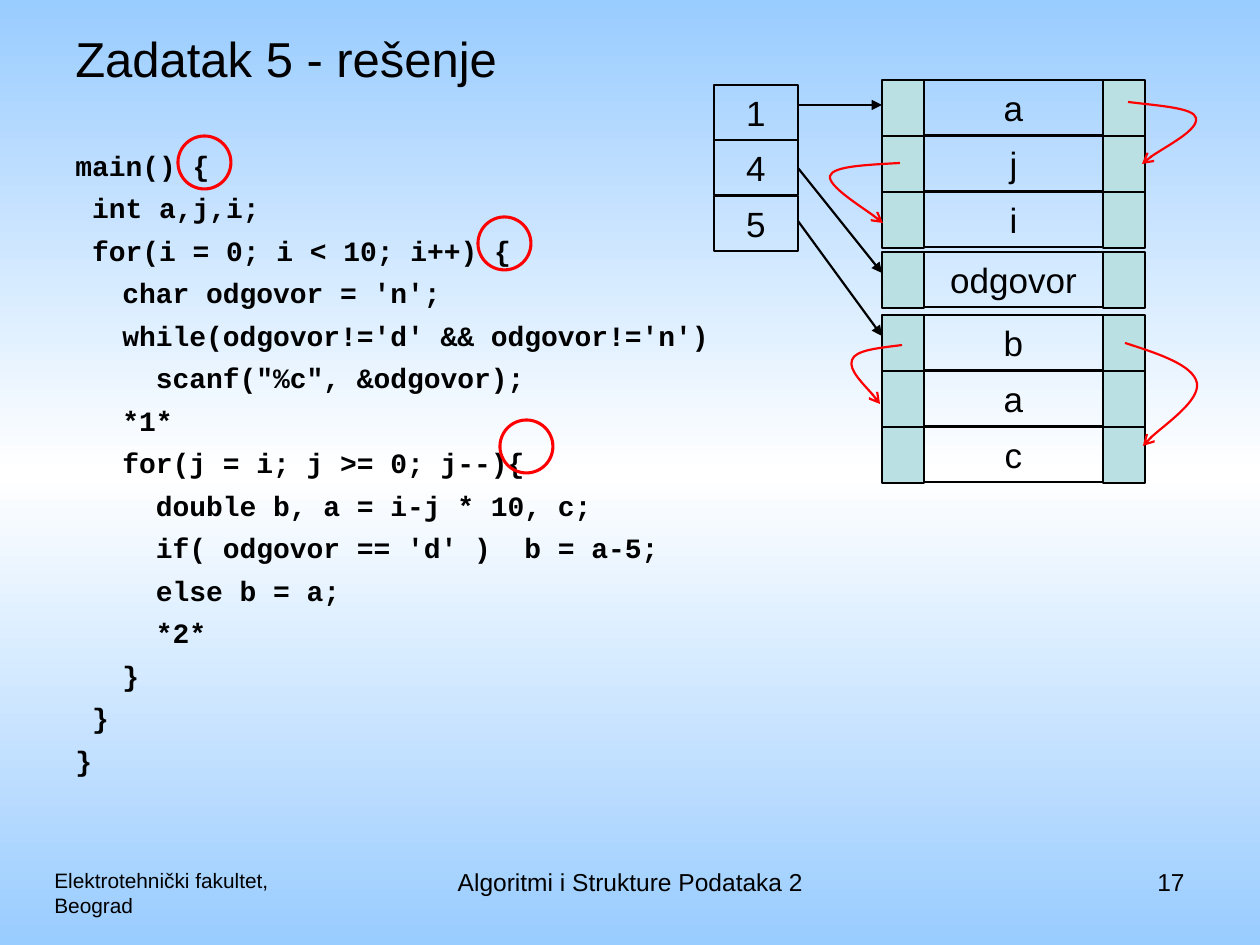
import copy

import pptx
import pptx.dml.color
import pptx.enum.shapes
import pptx.enum.text
import pptx.oxml
import pptx.oxml.ns
import pptx.util

RGBColor = pptx.dml.color.RGBColor
ALIGN = pptx.enum.text.PP_ALIGN
ANCHOR = pptx.enum.text.MSO_ANCHOR
SHAPE = pptx.enum.shapes.MSO_SHAPE
qn = pptx.oxml.ns.qn

BLACK = RGBColor(0x00, 0x00, 0x00)
RED = RGBColor(0xFF, 0x00, 0x00)
TEAL = RGBColor(0xBB, 0xE0, 0xE3)
SKY = RGBColor(0x99, 0xCC, 0xFF)
WHITE = RGBColor(0xFF, 0xFF, 0xFF)

PX = 914400 / 126

# Content: text, box (left, top, width, height), size, alignment, anchor
LABELS = [
    ("Zadatak 5 - rešenje", (63, 21, 1134, 74), 28, ALIGN.LEFT, ANCHOR.MIDDLE),
    ("Elektrotehnički fakultet,\vBeograd", (42, 861, 378, 66), 11.9, ALIGN.LEFT, ANCHOR.TOP),
    ("Algoritmi i Strukture Podataka 2", (431, 861, 399, 66), 14, ALIGN.CENTER, ANCHOR.TOP),
    ("17", (903, 861, 294, 66), 14, ALIGN.RIGHT, ANCHOR.TOP),
]
CODE_BOX = (63, 142, 703, 618)
CODE = [
    "main() {",
    " int a,j,i;",
    " for(i = 0; i < 10; i++) {",
    "\tchar odgovor = 'n';",
    "\twhile(odgovor!='d' && odgovor!='n')",
    "\t  scanf(\"%c\", &odgovor);",
    "\t*1*",
    "\tfor(j = i; j >= 0; j--){",
    "\t  double b, a = i-j * 10, c;",
    "\t  if( odgovor == 'd' )  b = a-5;",
    "\t  else b = a;",
    "\t  *2*",
    "\t}",
    " }",
    "}",
]
BLOCK_NUMBERS = [("1", 85), ("4", 140), ("5", 196)]
SCOPES = [(80, ["a", "j", "i"]), (252, ["odgovor"]), (315, ["b", "a", "c"])]
BRACE_RINGS = [(178, 136), (478, 217), (500, 420)]
SCOPE_ARROWS = [((798, 105), (882, 105)), ((798, 168), (882, 273)), ((798, 221), (882, 336))]
# Each tree link: a start point, then three points for each Bezier curve
TREE_LINKS = [
    [(1128, 102), (1160, 106), (1194, 108), (1196, 118), (1199, 130), (1148, 156), (1142, 164)],
    [(900, 163), (867, 165), (833, 166), (830, 176), (828, 186), (877, 217), (883, 223)],
    [(1125, 343), (1159, 354), (1193, 365), (1197, 383), (1200, 401), (1149, 436), (1143, 446)],
    [(902, 345), (879, 348), (855, 350), (852, 360), (848, 370), (877, 398), (880, 404)],
]
NUMBER_LEFT, NUMBER_WIDTH = 714, 84
SCOPE_LEFT, POINTER_WIDTH, NAME_WIDTH = 882, 42, 179
CELL_HEIGHT, ROW_PITCH, RING = 55, 56, 53


def emu(*lengths):
    return [round(length * PX) for length in lengths]


def style_font(para, size, name="Arial", bold=False):
    para.font.size = pptx.util.Pt(size)
    para.font.name = name
    para.font.bold = bold
    para.font.color.rgb = BLACK


def add_label(text, box, size, align, anchor):
    frame = slide.shapes.add_textbox(*emu(*box)).text_frame
    frame.word_wrap = True
    frame.vertical_anchor = anchor
    para = frame.paragraphs[0]
    para.text = text
    para.alignment = align
    style_font(para, size)


def style_line(shape, color, width):
    shape.line.color.rgb = color
    shape.line.width = pptx.util.Pt(width)


def add_outline(kind, box, color, width, fill=None):
    shape = slide.shapes.add_shape(kind, *emu(*box))
    shape.shadow.inherit = False
    style_line(shape, color, width)
    if fill is None:
        shape.fill.background()
    else:
        shape.fill.solid()
        shape.fill.fore_color.rgb = fill
    return shape


def add_cell(text, left, top, width):
    cell = add_outline(SHAPE.RECTANGLE, (left, top, width, CELL_HEIGHT), BLACK, 0.75)
    cell.text_frame.vertical_anchor = ANCHOR.MIDDLE
    para = cell.text_frame.paragraphs[0]
    para.text = text
    para.alignment = ALIGN.CENTER
    style_font(para, 20)


def add_arrowhead(shape, kind):
    pptx.oxml.ns  # namespace helpers
    shape.line._get_or_add_ln().append(
        pptx.oxml.parse_xml(f'<a:tailEnd {pptx.oxml.ns.nsdecls("a")} type="{kind}"/>'))


def add_tree_link(points):
    start, *rest = [emu(*point) for point in points]
    builder = slide.shapes.build_freeform(*start, scale=1.0)
    builder.add_line_segments(rest, close=False)
    link = builder.convert_to_shape()
    link.shadow.inherit = False
    link.fill.background()
    style_line(link, RED, 1.25)
    add_arrowhead(link, "arrow")
    # Turn every three line segments into one Bezier curve
    segments = list(link._element.iter(qn("a:lnTo")))
    for first in range(0, len(segments), 3):
        curve = pptx.oxml.parse_xml(f'<a:cubicBezTo {pptx.oxml.ns.nsdecls("a")}/>')
        segments[first].addprevious(curve)
        for segment in segments[first:first + 3]:
            curve.append(segment[0])
            segment.getparent().remove(segment)


deck = pptx.Presentation()
deck.slide_width, deck.slide_height = emu(1260, 945)
slide = deck.slides.add_slide(deck.slide_layouts[6])

# Background: sky, white, sky from top to bottom
background = slide.background.fill
background.gradient()
background.gradient_angle = 90
stop_list = next(slide._element.iter(qn("a:gsLst")))
stop_list.insert(1, copy.deepcopy(stop_list[0]))
for stop, color, position in zip(background.gradient_stops, (SKY, WHITE, SKY), (0, 0.5, 1)):
    stop.color.rgb = color
    stop.position = position

# Title and footer
for label in LABELS:
    add_label(*label)

# Program code, with tabs reaching the hanging indent
code_frame = slide.shapes.add_textbox(*emu(*CODE_BOX)).text_frame
code_frame.word_wrap = True
hang = emu(47)[0]
for number, line in enumerate(CODE):
    para = code_frame.add_paragraph() if number else code_frame.paragraphs[0]
    para.text = line
    para._p.get_or_add_pPr().set("marL", str(hang))
    para._p.get_or_add_pPr().set("indent", str(-hang))
    para.space_before = pptx.util.Pt(5.1 if number else 0)
    style_font(para, 16, "Courier New", True)

# Block numbers
for text, top in BLOCK_NUMBERS:
    add_cell(text, NUMBER_LEFT, top, NUMBER_WIDTH)

# Variables of each scope, with a pointer cell on both sides
name_left = SCOPE_LEFT + POINTER_WIDTH
for scope_top, names in SCOPES:
    for row, name in enumerate(names):
        top = scope_top + row * ROW_PITCH
        add_cell(name, name_left, top, NAME_WIDTH)
        for left in (SCOPE_LEFT, name_left + NAME_WIDTH):
            add_outline(SHAPE.RECTANGLE, (left, top, POINTER_WIDTH, ROW_PITCH), BLACK, 0.75, TEAL)

# Rings around the opening braces
for left, top in BRACE_RINGS:
    add_outline(SHAPE.OVAL, (left, top, RING, RING), RED, 1.75)

# Arrows from block numbers to scopes
for start, end in SCOPE_ARROWS:
    arrow = slide.shapes.add_connector(
        pptx.enum.shapes.MSO_CONNECTOR.STRAIGHT, *emu(*start, *end))
    style_line(arrow, BLACK, 1.25)
    add_arrowhead(arrow, "triangle")
    arrow._element.spPr.append(
        pptx.oxml.parse_xml(f'<a:effectLst {pptx.oxml.ns.nsdecls("a")}/>'))

# Curved links between variables
for points in TREE_LINKS:
    add_tree_link(points)

deck.save("out.pptx")
